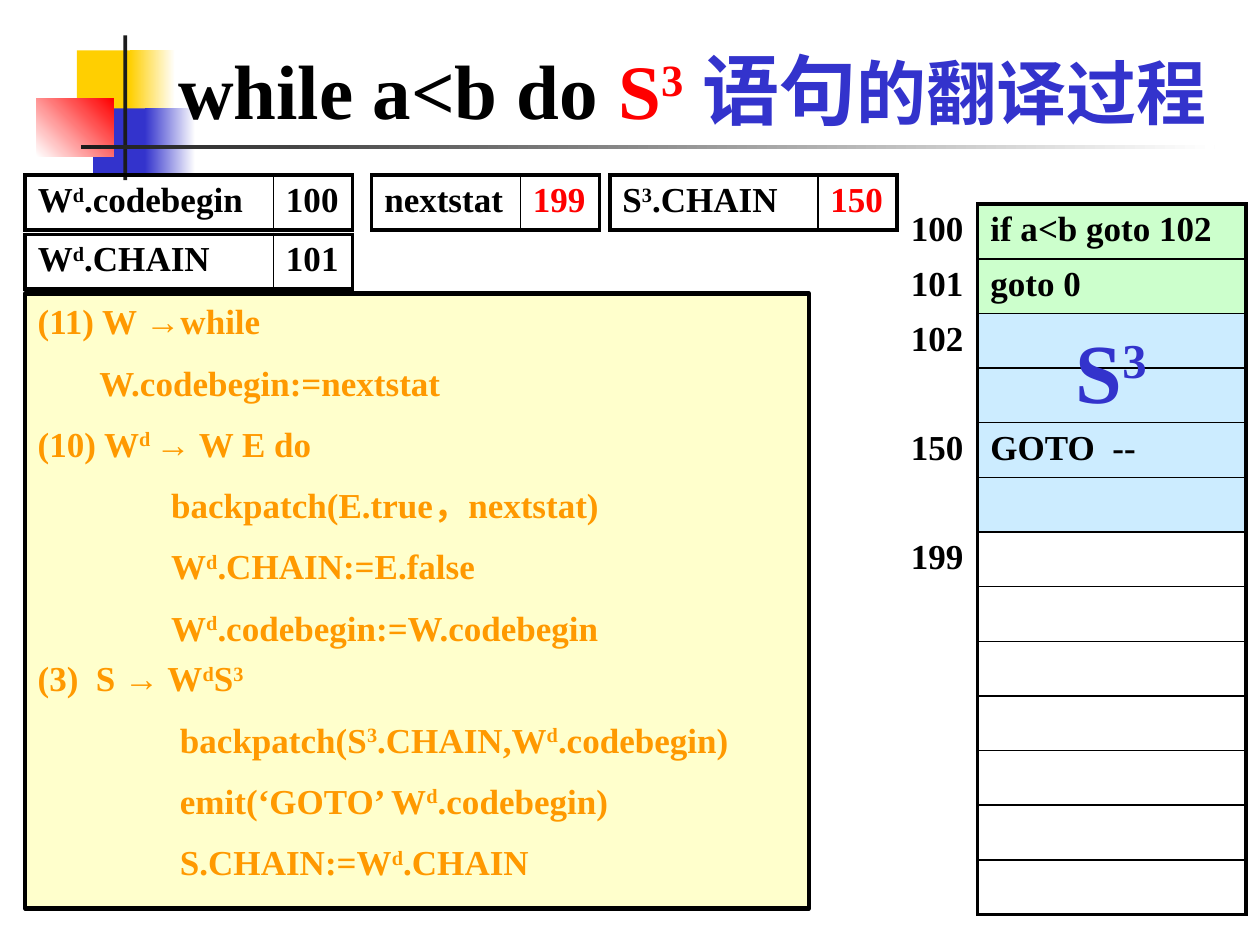
from lxml import etree
from pptx import Presentation
from pptx.dml.color import RGBColor
from pptx.enum.shapes import MSO_SHAPE
from pptx.enum.text import MSO_ANCHOR, PP_ALIGN
from pptx.oxml.ns import qn
from pptx.util import Emu, Pt

RECT = MSO_SHAPE.RECTANGLE
TOP, BOTTOM = MSO_ANCHOR.TOP, MSO_ANCHOR.BOTTOM
LEFT, CENTER = PP_ALIGN.LEFT, PP_ALIGN.CENTER

BLACK = RGBColor(0x00, 0x00, 0x00)
WHITE = RGBColor(0xFF, 0xFF, 0xFF)
RED = RGBColor(0xFF, 0x00, 0x00)
BLUE = RGBColor(0x33, 0x33, 0xCC)
GOLD = RGBColor(0xFF, 0xCF, 0x01)
CHARCOAL = RGBColor(0x1C, 0x1C, 0x1C)
ORANGE = RGBColor(0xFF, 0x99, 0x00)
CREAM = RGBColor(0xFF, 0xFF, 0xCC)
GREEN = RGBColor(0xCC, 0xFF, 0xCC)
SKY = RGBColor(0xCC, 0xEC, 0xFF)

EMU_PER_PX = 9144  # 100 px to the inch
FONT = "Times New Roman"
THICK, THIN = 2.25, 1


def px(n):
    return Emu(n * EMU_PER_PX)


def write(p, text, size=20, color=BLACK, bold=True):
    """Add text to a paragraph; parts between carets are superscript."""
    for i, part in enumerate(text.split("^")):
        if not part:
            continue
        r = p.add_run()
        r.text = part
        r.font.name, r.font.size, r.font.bold = FONT, Pt(size), bold
        r.font.color.rgb = color
        if i % 2:
            r._r.get_or_add_rPr().set("baseline", "30000")


class SlideBuilder:
    def __init__(self, slide):
        self.slide = slide

    def rect(self, x, y, w, h, color, fade=None, angle=0, line=None):
        sp = self.slide.shapes.add_shape(RECT, px(x), px(y), px(w), px(h))
        sp.shadow.inherit = False
        if fade is None:
            sp.fill.solid()
            sp.fill.fore_color.rgb = color
        else:
            sp.fill.gradient()
            sp.fill.gradient_angle = angle
            for stop, stop_color in zip(sp.fill.gradient_stops, (color, fade)):
                stop.color.rgb = stop_color
        if line:
            sp.line.color.rgb, sp.line.width = BLACK, Pt(line)
        else:
            sp.line.fill.background()
        return sp

    def text(self, x, y, w, h, runs, anchor=TOP):
        tf = self.slide.shapes.add_textbox(px(x), px(y), px(w), px(h)).text_frame
        tf.word_wrap = True
        tf.vertical_anchor = anchor
        p = tf.paragraphs[0]
        p.alignment = CENTER
        for text, fmt in runs:
            write(p, text, **fmt)

    def rules(self, x, y, w, h, lines):
        """A filled box of (indent, space before, text) lines."""
        tf = self.rect(x, y, w, h, CREAM, line=2.5).text_frame
        tf.word_wrap = True
        tf.vertical_anchor = TOP
        for i, (indent, before, text) in enumerate(lines):
            p = tf.add_paragraph() if i else tf.paragraphs[0]
            p.alignment = LEFT
            p.space_before = Pt(before)
            p._p.get_or_add_pPr().set("marL", str(px(indent)))
            write(p, text, color=ORANGE)

    def table(self, x, y, widths, h, rows):
        gf = self.slide.shapes.add_table(
            len(rows), len(widths), px(x), px(y), px(sum(widths)), px(h))
        table = gf.table
        table.first_row = table.horz_banding = False
        for column, w in zip(table.columns, widths):
            column.width = px(w)
        for row, cells in zip(table.rows, rows):
            row.height = px(h) // len(rows)
            for cell, content in zip(row.cells, cells):
                self.cell(cell, **content)

    def cell(self, cell, text, borders, fill=None, color=BLACK):
        tcPr = cell._tc.get_or_add_tcPr()
        for side, width in zip("LRTB", borders):
            ln = etree.SubElement(tcPr, qn("a:ln" + side), w=str(Pt(width)))
            if width:
                solid = etree.SubElement(ln, qn("a:solidFill"))
                etree.SubElement(solid, qn("a:srgbClr"), val=str(BLACK))
            else:
                etree.SubElement(ln, qn("a:noFill"))
        if fill is None:
            cell.fill.background()
        else:
            cell.fill.solid()
            cell.fill.fore_color.rgb = fill
        write(cell.text_frame.paragraphs[0], text, color=color)

    def variable(self, x, y, name_width, name, value, color=BLACK):
        """A one-row table with a variable and its value."""
        self.table(x, y, [name_width, 63], 43, [[
            dict(text=name, borders=(THICK, THIN, THICK, THICK)),
            dict(text=value, borders=(THIN, THICK, THICK, THICK), color=color),
        ]])

    def code_list(self, x, y, widths, h, code):
        """Numbered instructions: (address, instruction, fill) per row."""
        last = len(code) - 1
        rows = []
        for i, (address, instruction, fill) in enumerate(code):
            top = THIN if i else THICK
            bottom = THIN if i < last else THICK
            rows.append([
                dict(text=address, borders=(0, THICK, 0, 0), fill=WHITE),
                dict(text=instruction, borders=(THICK, THICK, top, bottom), fill=fill),
            ])
        self.table(x, y, widths, h, rows)


def main():
    prs = Presentation()
    prs.slide_width, prs.slide_height = px(1000), px(750)
    s = SlideBuilder(prs.slides.add_slide(prs.slide_layouts[6]))

    # Corner decoration
    s.rect(61, 40, 48, 52, GOLD)
    s.rect(103, 40, 36, 52, GOLD, fade=WHITE)
    s.rect(74, 86, 46, 52, BLUE)
    s.rect(115, 86, 40, 52, BLUE, fade=WHITE)
    s.rect(29, 78, 61, 46, WHITE, fade=RED, angle=45)
    s.rect(98, 28, 3, 115, CHARCOAL)
    s.rect(64, 115, 900, 3, CHARCOAL, fade=WHITE)

    # Title
    s.text(122, 36, 855, 76, [
        ("while a<b do ", dict(size=44)),
        ("S^3^", dict(size=44, color=RED)),
        (" 语句", dict(size=44, color=BLUE)),
        ("的翻译过程", dict(size=40, color=BLUE)),
    ], anchor=BOTTOM)

    # Generated code
    s.code_list(713, 162, [63, 213], 564, [
        ("100", "if a<b goto 102", GREEN),
        ("101", "goto 0", GREEN),
        ("102", "", SKY),
        ("", "", SKY),
        ("150", "GOTO  --", SKY),
        ("", "", SKY),
        ("199", "", WHITE),
    ] + [("", "", WHITE)] * 6)

    # Semantic rules
    s.rules(20, 233, 622, 488, [
        (0, 0, "(11) W →while"),
        (49, 11, "W.codebegin:=nextstat"),
        (0, 11, "(10) W^d ^→ W E do"),
        (106, 11, "backpatch(E.true，nextstat)"),
        (106, 11, "W^d^.CHAIN:=E.false"),
        (106, 11, "W^d^.codebegin:=W.codebegin"),
        (0, 5, "(3)  S → W^d^S^3^"),
        (113, 11, "backpatch(S^3^.CHAIN,W^d^.codebegin)"),
        (113, 11, "emit(‘GOTO’ W^d^.codebegin)"),
        (113, 11, "S.CHAIN:=W^d^.CHAIN"),
    ])

    # Variables
    s.variable(295, 139, 118, "nextstat", "199", color=RED)
    s.variable(20, 139, 197, "W^d^.codebegin", "100")
    s.variable(20, 186, 197, "W^d^.CHAIN", "101")
    s.variable(484, 139, 165, "S^3^.CHAIN", "150", color=RED)

    # Label of the loop body
    s.text(831, 249, 102, 90, [("S^3^", dict(size=48, color=BLUE))])

    prs.save("out.pptx")


if __name__ == "__main__":
    main()
